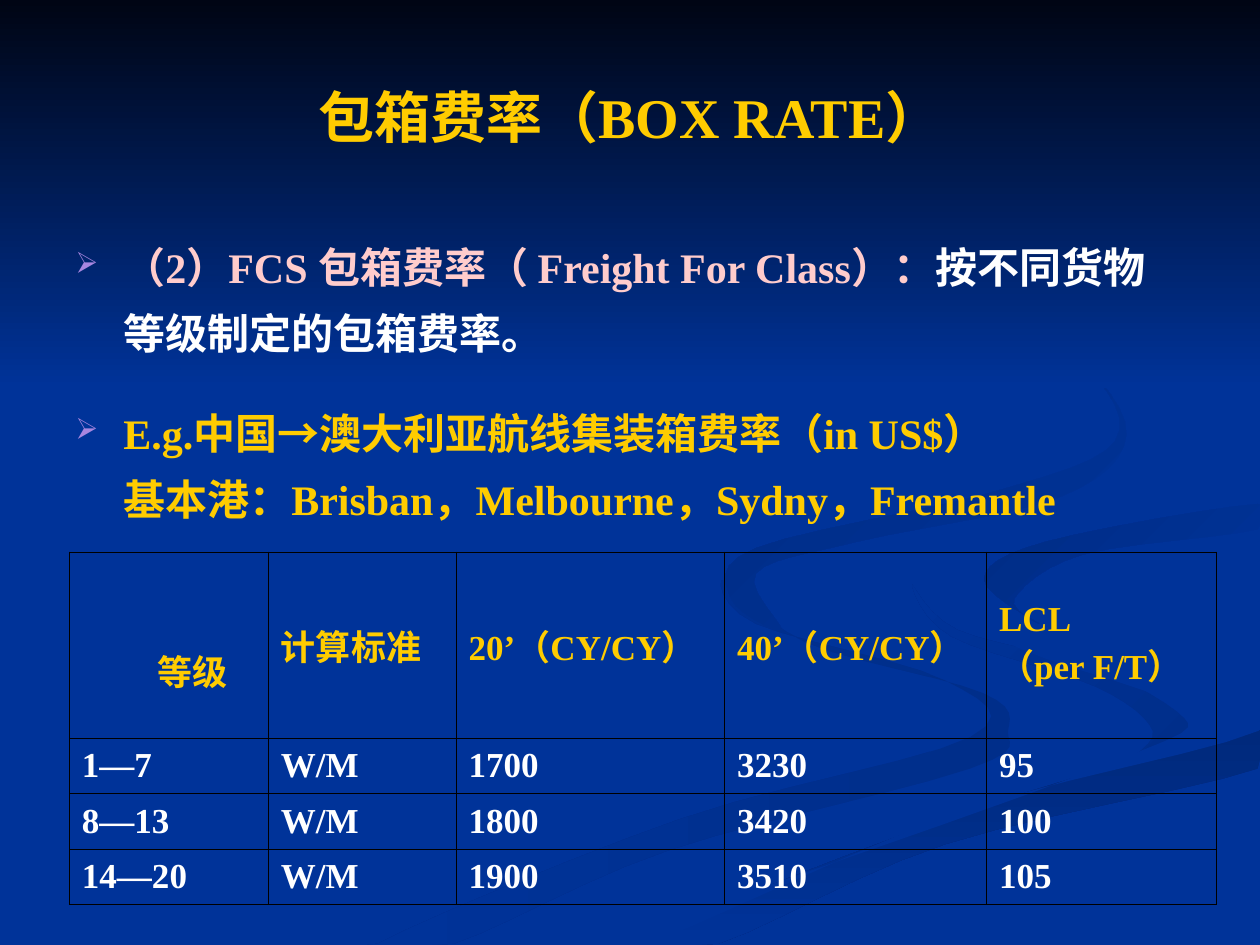
from lxml import etree
from pptx import Presentation
from pptx.dml.color import RGBColor
from pptx.enum.text import MSO_ANCHOR, PP_ALIGN
from pptx.oxml.ns import qn
from pptx.util import Inches, Pt

CENTER = PP_ALIGN.CENTER
MIDDLE = MSO_ANCHOR.MIDDLE

SERIF = "Times New Roman"
NAVY, BLACK, WHITE = "003399", "000000", "FFFFFF"
GOLD, PINK, LILAC = "FFCC00", "FFCCCC", "A886E0"
WIDTH, HEIGHT = 10, 7.5
HANG = 0.38
CURVE_STEPS = 6

# Background ribbons, back to front: (colours, clockwise angle, curve points)
RIBBONS = [
    (("002E8A", NAVY), 180, [
        (7.8, 5.5), (6.4, 5.1), (5.75, 4.6), (6, 4.95), (7.5, 5.4),
        (7.7, 5.85), (5.4, 6.5), (3, 7.49), (3.6, 7.49), (5.3, 6.75),
        (7.7, 6.1), (8, 5.8)]),
    (("002E8A", NAVY), 225, [
        (9.4, 5.7), (8.7, 5.3), (7.6, 5), (7.24, 4.64), (7.55, 5.05),
        (8.7, 5.45), (9.15, 5.8), (8.95, 6.05), (9.3, 5.9)]),
    (("00297C", NAVY), 90, [
        (5.03, 7.49), (5.7, 7.49), (7.5, 6.7), (9.98, 6.1), (9.98, 5.8),
        (7.65, 6.45)]),
    ((NAVY, NAVY), 0, [
        (7.25, 4.65), (8.1, 5.15), (9.4, 5.65), (8.7, 6.1), (4.8, 7.49),
        (5.2, 7.47), (7.6, 6.45), (9.99, 5.8), (9.99, 5.4), (8.2, 4.9),
        (8, 4.4), (9.99, 4), (9.99, 3.9), (7.7, 4.25)]),
    ((NAVY, "002C85"), 225, [
        (7.81, 4.6), (8.25, 4.95), (8.05, 4.75), (8.6, 4.4), (9.98, 4.2),
        (9.98, 4), (8.3, 4.3)]),
    ((NAVY, "002B81"), 225, [
        (6.8, 4.3), (8.4, 3.95), (8.94, 3.45), (8.5, 2.8), (7.6, 2.33),
        (8.6, 2.9), (8.85, 3.5), (7.9, 3.9), (6, 4.35), (5.8, 4.75),
        (6.2, 5), (6, 4.55)]),
]

COLUMN_WIDTHS = [1.58, 1.49, 2.13, 2.08, 1.82]
ROW_HEIGHTS = [1.48, 0.44, 0.44, 0.44]
RATES = [
    ["等级", "计算标准", "20’（CY/CY）", "40’（CY/CY）", "LCL\n（per F/T）"],
    ["1—7", "W/M", "1700", "3230", "95"],
    ["8—13", "W/M", "1800", "3420", "100"],
    ["14—20", "W/M", "1900", "3510", "105"],
]


def rgb(color):
    return RGBColor.from_string(color)


def style(font, size, color):
    font.name, font.size, font.bold = SERIF, Pt(size), True
    font.color.rgb = rgb(color)


def indent(paragraph, first_line):
    properties = paragraph._p.get_or_add_pPr()
    properties.set("marL", str(Inches(HANG)))
    properties.set("indent", str(Inches(first_line)))
    return properties


def spline(a, b, c, d, t):
    """Catmull-Rom value between b and c."""
    return b + t / 2 * (c - a + t * (2 * a - 5 * b + 4 * c - d
                                     + t * (3 * (b - c) + d - a)))


def smooth_outline(knots):
    """Closed curve through the knots, kept on the slide."""
    count = len(knots)
    curve = []
    for start in range(count):
        near = [knots[(start + offset) % count] for offset in (-1, 0, 1, 2)]
        xs, ys = zip(*near)
        for step in range(CURVE_STEPS):
            t = step / CURVE_STEPS
            curve.append((min(spline(*xs, t), WIDTH), min(spline(*ys, t), HEIGHT)))
    return curve


def add_ribbon(slide, colors, angle, outline):
    points = [(Inches(x), Inches(y)) for x, y in outline]
    builder = slide.shapes.build_freeform(*points[0])
    builder.add_line_segments(points[1:])
    paint(builder.convert_to_shape(), colors, angle)


def paint(shape, colors, angle):
    """Fill without outline; the gradient angle runs clockwise."""
    shape.shadow.inherit = False
    shape.line.fill.background()
    if colors[0] == colors[1]:
        shape.fill.solid()
        shape.fill.fore_color.rgb = rgb(colors[0])
        return
    shape.fill.gradient()
    shape.fill.gradient_angle = (360 - angle) % 360
    for position, (stop, color) in enumerate(zip(shape.fill.gradient_stops, colors)):
        stop.color.rgb = rgb(color)
        stop.position = position


def add_text_frame(slide, left, top, width, height):
    frame = slide.shapes.add_textbox(
        Inches(left), Inches(top), Inches(width), Inches(height)).text_frame
    frame.word_wrap = True
    return frame


def write_bullet(paragraph, parts, space_before):
    """Fill a bulleted paragraph with (text, colour) parts."""
    properties = indent(paragraph, -HANG)
    bullet_color = etree.SubElement(properties, qn("a:buClr"))
    etree.SubElement(bullet_color, qn("a:srgbClr"), val=LILAC)
    etree.SubElement(properties, qn("a:buSzPct"), val="70000")
    etree.SubElement(properties, qn("a:buChar"), char="➢")
    paragraph.line_spacing = 1.3
    paragraph.space_before = Pt(space_before)
    style(paragraph.font, 24, parts[0][1])
    for text, color in parts:
        for number, line in enumerate(text.split("\n")):
            if number:
                paragraph.add_line_break()
            run = paragraph.add_run()
            run.text = line
            run.font.color.rgb = rgb(color)


def add_borders(cell):
    properties = cell._tc.get_or_add_tcPr()
    for side in ("a:lnL", "a:lnR", "a:lnT", "a:lnB"):
        border = etree.SubElement(properties, qn(side), w=str(Pt(0.34)))
        fill = etree.SubElement(border, qn("a:solidFill"))
        etree.SubElement(fill, qn("a:srgbClr"), val=BLACK)


def add_rate_table(slide):
    table = slide.shapes.add_table(
        len(RATES), len(COLUMN_WIDTHS), Inches(0.55), Inches(4.38),
        Inches(sum(COLUMN_WIDTHS)), Inches(sum(ROW_HEIGHTS))).table
    for column, width in zip(table.columns, COLUMN_WIDTHS):
        column.width = Inches(width)
    for row, height, values in zip(table.rows, ROW_HEIGHTS, RATES):
        row.height = Inches(height)
        for cell, value in zip(row.cells, values):
            add_borders(cell)
            cell.fill.background()
            cell.vertical_anchor = MIDDLE
            cell.text = value
            for paragraph in cell.text_frame.paragraphs:
                indent(paragraph, -HANG)
                style(paragraph.font, 20, GOLD if values is RATES[0] else WHITE)
    grade = table.cell(0, 0)
    grade.margin_top = Inches(0.45)
    grade_label = grade.text_frame.paragraphs[0]
    grade_label.alignment = CENTER
    indent(grade_label, 0)


def main():
    deck = Presentation()
    deck.slide_width, deck.slide_height = Inches(WIDTH), Inches(HEIGHT)
    slide = deck.slides.add_slide(deck.slide_layouts[6])
    slide.background.fill.solid()
    slide.background.fill.fore_color.rgb = rgb(NAVY)
    for colors, angle, knots in RIBBONS:
        add_ribbon(slide, colors, angle, smooth_outline(knots))
    sky = [(0, 0), (0, 3.08), (WIDTH, 3.08), (WIDTH, 0)]
    add_ribbon(slide, ("000514", NAVY), 90, sky)

    title = add_text_frame(slide, 0.5, 0.3, 9, 1.25)
    title.vertical_anchor = MIDDLE
    heading = title.paragraphs[0]
    heading.text = "包箱费率（BOX RATE）"
    heading.alignment = CENTER
    style(heading.font, 32, GOLD)

    body = add_text_frame(slide, 0.5, 1.75, 8.99, 3.1)
    write_bullet(body.paragraphs[0], [
        ("（2）FCS 包箱费率（ Freight For Class）：", PINK),
        ("按不同货物等级制定的包箱费率。", WHITE)], 0)
    write_bullet(body.add_paragraph(), [
        ("E.g.中国→澳大利亚航线集装箱费率（in US$）\n"
         "基本港：Brisban，Melbourne，Sydny，Fremantle", GOLD)], 20)
    add_rate_table(slide)
    deck.save("out.pptx")


if __name__ == "__main__":
    main()
